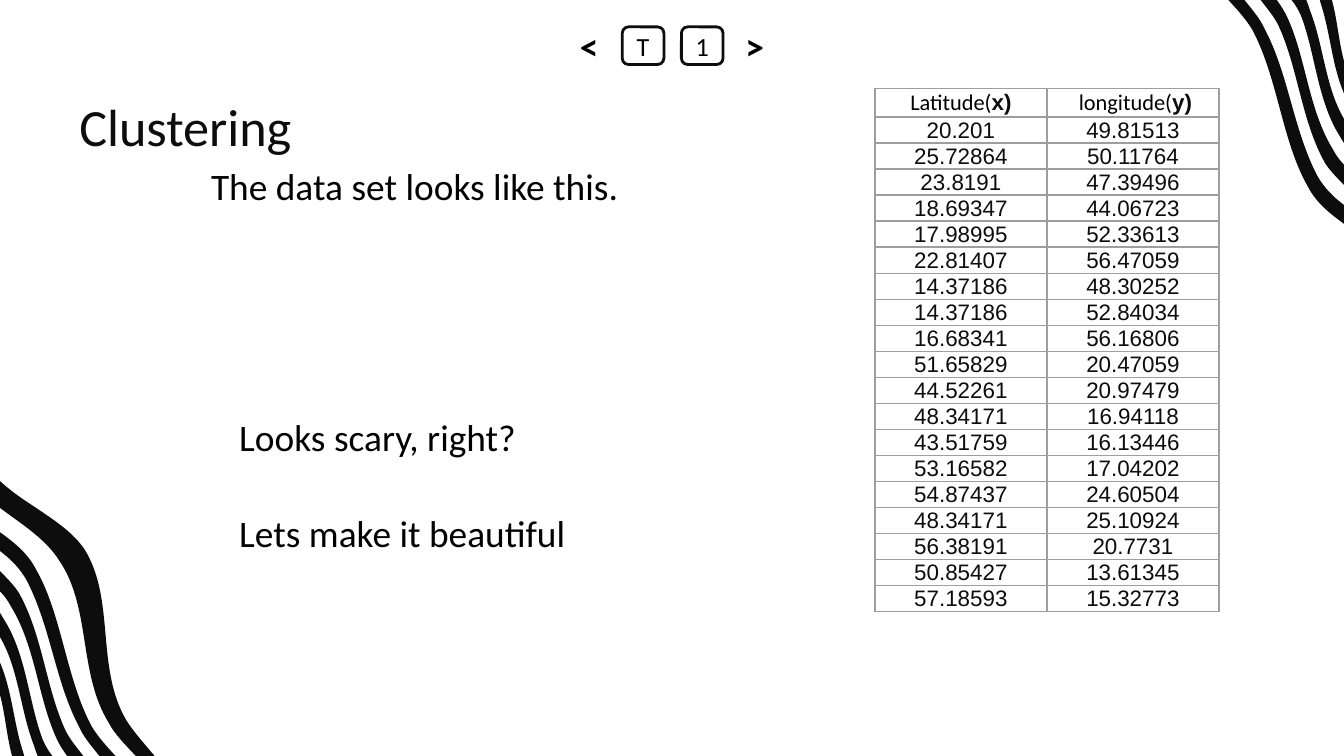
from lxml.etree import SubElement
from pptx import Presentation
from pptx.dml.color import RGBColor
from pptx.enum.shapes import MSO_SHAPE
from pptx.enum.text import MSO_ANCHOR, MSO_AUTO_SIZE, PP_ALIGN
from pptx.oxml.ns import qn
from pptx.util import Inches, Pt

WIDTH, HEIGHT = 10, 10 * 9 / 16
INK, BLACK, WHITE, GRID = "0D0D0D", "000000", "FFFFFF", "9E9E9E"


def rgb(code):
    return RGBColor.from_string(code)


def bend(segments):
    """Turn each three straight segments into one cubic curve: two handles and an end."""
    for first, second, third in zip(*[iter(segments)] * 3):
        first.tag = qn("a:cubicBezTo")
        for segment in (second, third):
            first.append(segment[0])
            segment.getparent().remove(segment)


prs = Presentation()
prs.slide_width, prs.slide_height = Inches(WIDTH), Inches(HEIGHT)
slide = prs.slides.add_slide(prs.slide_layouts[3])
slide.background.fill.solid()
slide.background.fill.fore_color.rgb = rgb(WHITE)
shapes = slide.shapes

# Wavy stripes: lower edge running down, upper edge running back up
stripes = [
    ([(0, 3.78), (0.16, 3.9), (0.34, 4.01), (0.44, 4.17), (0.68, 4.52), (0.58, 5.01),
      (0.81, 5.38), (0.85, 5.46), (0.93, 5.54), (1.01, HEIGHT)],
     [(1.15, HEIGHT), (1.07, 5.53), (0.99, 5.44), (0.94, 5.36), (0.71, 4.97),
      (0.86, 4.46), (0.63, 4.09), (0.49, 3.88), (0.19, 3.76), (0, 3.58)]),
    ([(0, 4.1), (0.08, 4.16), (0.15, 4.23), (0.2, 4.32), (0.38, 4.67), (0.41, 5.07),
      (0.59, 5.41), (0.62, 5.48), (0.68, 5.55), (0.74, HEIGHT)],
     [(0.86, HEIGHT), (0.79, 5.55), (0.72, 5.47), (0.68, 5.4), (0.49, 5.04),
      (0.46, 4.57), (0.27, 4.24), (0.21, 4.12), (0.11, 4.04), (0, 3.96)]),
    ([(0, 4.4), (0.03, 4.43), (0.06, 4.47), (0.08, 4.51), (0.26, 4.8), (0.28, 5.17),
      (0.41, 5.47), (0.43, 5.52), (0.46, 5.57), (0.5, HEIGHT)],
     [(0.62, HEIGHT), (0.57, 5.56), (0.52, 5.5), (0.49, 5.44), (0.34, 5.12),
      (0.32, 4.73), (0.14, 4.41), (0.1, 4.35), (0.05, 4.3), (0, 4.25)]),
    ([(0, 4.74), (0.14, 4.98), (0.15, 5.28), (0.25, 5.54), (0.26, 5.57), (0.27, 5.6),
      (0.28, HEIGHT)],
     [(0.39, HEIGHT), (0.36, 5.59), (0.34, 5.55), (0.32, 5.51), (0.21, 5.22),
      (0.2, 4.88), (0.03, 4.61), (0.02, 4.59), (0.01, 4.58), (0, 4.56)]),
    ([(0, 5.17), (0.04, 5.32), (0.05, 5.48), (0.09, HEIGHT)],
     [(0.18, HEIGHT), (0.18, 5.61), (0.17, 5.6), (0.17, 5.59), (0.1, 5.37),
      (0.09, 5.14), (0, 4.93)]),
]
# The top right corner is the same set turned by half, without the widest stripe
turned = [[[(WIDTH - x, HEIGHT - y) for x, y in edge] for edge in pair]
          for pair in stripes[1:]]
for corner in (stripes, turned):
    corner_group = shapes.add_group_shape()
    for lower, upper in corner:
        knots = [(Inches(x), Inches(y)) for x, y in lower + upper]
        builder = corner_group.shapes.build_freeform(*knots[0])
        builder.add_line_segments(knots[1:], close=True)
        stripe = builder.convert_to_shape()
        segments = list(stripe._element.iter(qn("a:lnTo")))
        bend(segments[:len(lower) - 1])
        bend(segments[len(lower):len(knots) - 1])
        stripe.fill.solid()
        stripe.fill.fore_color.rgb = rgb(INK)
        stripe.line.fill.background()
        stripe.shadow.inherit = False

# Page navigator
for left, label, is_arrow in [(5.07, "1", False), (4.63, "T", False),
                              (4.23, "<", True), (5.46, ">", True)]:
    key = shapes.add_shape(MSO_SHAPE.ROUNDED_RECTANGLE, Inches(left), Inches(0.2),
                           Inches(0.31), Inches(0.28))
    key.shadow.inherit = False
    key.fill.solid()
    key.fill.fore_color.rgb = rgb(WHITE)
    if is_arrow:
        key.line.fill.background()
    else:
        key.line.color.rgb = rgb(INK)
        key.line.width = Pt(1.5)
    frame = key.text_frame
    frame.margin_left = frame.margin_right = frame.margin_top = frame.margin_bottom = 0
    frame.vertical_anchor = MSO_ANCHOR.MIDDLE
    frame.text = label
    line = frame.paragraphs[0]
    line.alignment = PP_ALIGN.CENTER
    line.font.name, line.font.size = "Calibri", Pt(20 if is_arrow else 14)
    line.font.bold = is_arrow
    line.font.color.rgb = rgb(BLACK)

# Title and the two remarks
title, intro, remarks = slide.placeholders
for holder, box, lines, size, color, spacing in [
    (title, (0.49, 0.66, 8.09, 0.63), ["Clustering"], 28, INK, 0.8),
    (intro, (0.97, 1.15, 8.2, 2.78), ["The data set looks like this."], 20, BLACK, 0.9),
    (remarks, (1.18, 3.02, 4.2, 1.64),
     ["Looks scary, right?", "Lets make it beautiful"], 20, BLACK, 0.9),
]:
    holder.left, holder.top, holder.width, holder.height = map(Inches, box)
    frame = holder.text_frame
    frame.auto_size = MSO_AUTO_SIZE.NONE
    frame.margin_left = frame.margin_right = Inches(0.1)
    frame.margin_top = frame.margin_bottom = Inches(0.1)
    frame.vertical_anchor = MSO_ANCHOR.MIDDLE if holder is title else MSO_ANCHOR.TOP
    frame.text = "\n".join(lines)
    for i, line in enumerate(frame.paragraphs):
        line.alignment = PP_ALIGN.LEFT
        line.line_spacing = spacing
        line.space_before = Pt(30 * i)
        line.font.name, line.font.size = "Calibri", Pt(size)
        line.font.color.rgb = rgb(color)
        if holder is not title:
            line.level = 1
            props = line._p.get_or_add_pPr()
            props.set("marL", str(Inches(0.5)))
            props.set("indent", "0")
            bullet = SubElement(props, qn("a:buNone"))
            props.find(qn("a:defRPr")).addprevious(bullet)

# Coordinates table
headings = [("Latitude(", "x)"), (" longitude(", "y)")]
coordinates = [
    ("20.201", "49.81513"), ("25.72864", "50.11764"), ("23.8191", "47.39496"),
    ("18.69347", "44.06723"), ("17.98995", "52.33613"), ("22.81407", "56.47059"),
    ("14.37186", "48.30252"), ("14.37186", "52.84034"), ("16.68341", "56.16806"),
    ("51.65829", "20.47059"), ("44.52261", "20.97479"), ("48.34171", "16.94118"),
    ("43.51759", "16.13446"), ("53.16582", "17.04202"), ("54.87437", "24.60504"),
    ("48.34171", "25.10924"), ("56.38191", "20.7731"), ("50.85427", "13.61345"),
    ("57.18593", "15.32773"),
]
row_count = len(coordinates) + 1
table = shapes.add_table(row_count, 2, Inches(6.51), Inches(0.66),
                         Inches(2 * 1.28), Inches(row_count * 0.19)).table
table.first_row = table.horz_banding = False
for r, row in enumerate([headings] + coordinates):
    for c, content in enumerate(row):
        cell = table.cell(r, c)
        cell.margin_left = cell.margin_right = cell.margin_top = Pt(0.5)
        cell.margin_bottom = 0
        cell.vertical_anchor = MSO_ANCHOR.BOTTOM
        for side in ("lnL", "lnR", "lnT", "lnB"):
            border = SubElement(cell._tc.get_or_add_tcPr(), qn(f"a:{side}"), w=str(Pt(0.75)))
            SubElement(SubElement(border, qn("a:solidFill")), qn("a:srgbClr"), val=GRID)
        cell.fill.background()
        line = cell.text_frame.paragraphs[0]
        line.alignment = PP_ALIGN.CENTER
        line.font.name, line.font.size = "Arial", Pt(12)
        line.font.color.rgb = rgb(INK)
        if r:
            line.add_run().text = content
        else:
            name, axis = line.add_run(), line.add_run()
            name.text, axis.text = content
            name.font.name, name.font.color.rgb = "Calibri", rgb(BLACK)
            axis.font.bold = True

prs.save("out.pptx")
